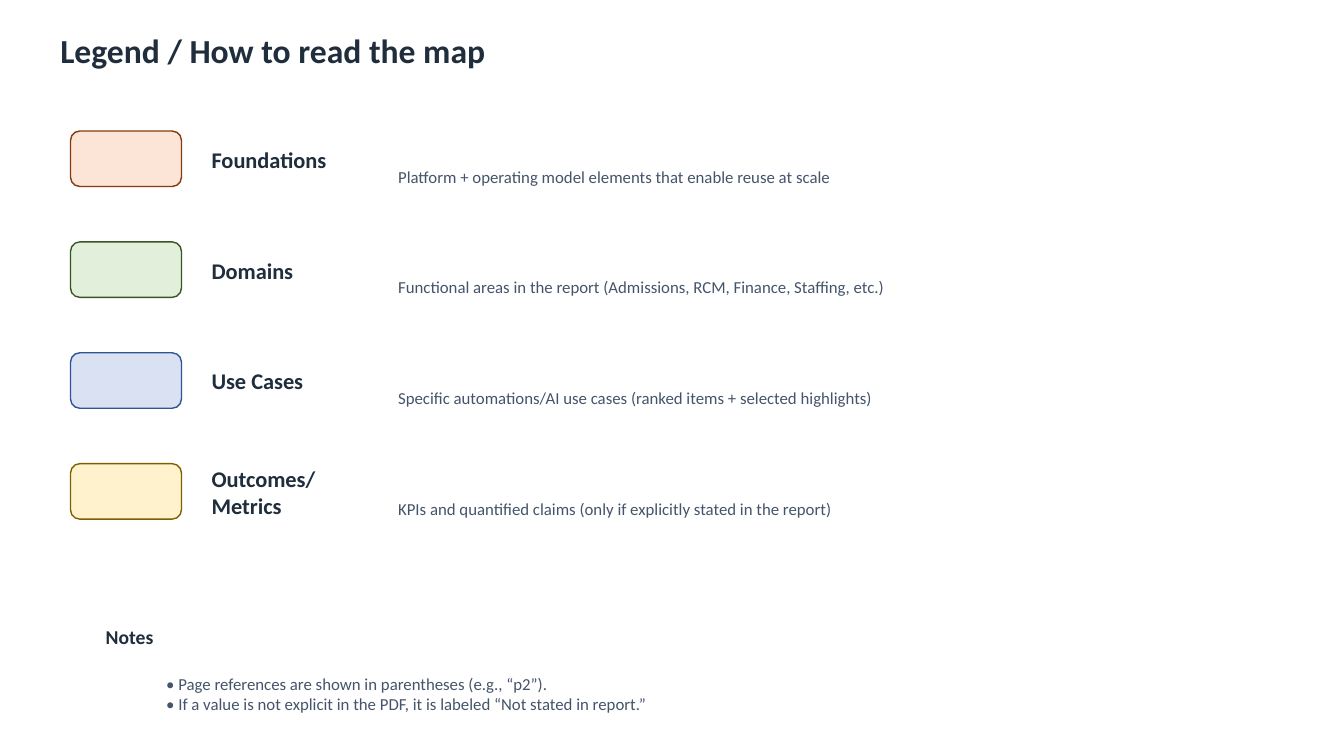
from dataclasses import dataclass

import pptx
import pptx.dml.color
import pptx.enum.shapes
import pptx.enum.text
import pptx.slide
import pptx.util

RGBColor = pptx.dml.color.RGBColor

EMU_PER_PX = 9144
INK = RGBColor(0x1F, 0x2D, 0x3D)
SLATE = RGBColor(0x44, 0x54, 0x6A)
PEACH = RGBColor(0xFC, 0xE4, 0xD6)
BROWN = RGBColor(0x84, 0x3C, 0x0C)
MINT = RGBColor(0xE2, 0xEF, 0xDA)
GREEN = RGBColor(0x37, 0x56, 0x23)
ICE = RGBColor(0xD9, 0xE1, 0xF2)
BLUE = RGBColor(0x2F, 0x55, 0x97)
CREAM = RGBColor(0xFF, 0xF2, 0xCC)
OLIVE = RGBColor(0x7F, 0x60, 0x00)

ROW_TOP = 130
ROW_STEP = 110


@dataclass(frozen=True)
class Box:
    left: int
    top: int
    width: int
    height: int

    def emu(self) -> list[pptx.util.Emu]:
        return [px(n) for n in (self.left, self.top, self.width, self.height)]


@dataclass(frozen=True)
class TextStyle:
    size: int
    color: RGBColor
    bold: bool


@dataclass(frozen=True)
class LegendRow:
    label: str
    description: str
    fill: RGBColor
    line: RGBColor


TITLE = TextStyle(24, INK, True)
LABEL = TextStyle(16, INK, True)
HEADING = TextStyle(14, INK, True)
BODY = TextStyle(12, SLATE, False)

ROWS = [
    LegendRow("Foundations",
              "Platform + operating model elements that enable reuse at scale",
              PEACH, BROWN),
    LegendRow("Domains",
              "Functional areas in the report (Admissions, RCM, Finance, Staffing, etc.)",
              MINT, GREEN),
    LegendRow("Use Cases",
              "Specific automations/AI use cases (ranked items + selected highlights)",
              ICE, BLUE),
    LegendRow("Outcomes/Metrics",
              "KPIs and quantified claims (only if explicitly stated in the report)",
              CREAM, OLIVE),
]
NOTES = [
    "• Page references are shown in parentheses (e.g., “p2”).",
    "• If a value is not explicit in the PDF, it is labeled “Not stated in report.”",
]


def px(n: int) -> pptx.util.Emu:
    return pptx.util.Emu(n * EMU_PER_PX)


def add_text(s: pptx.slide.Slide, box: Box, lines: list[str], style: TextStyle) -> None:
    tf = s.shapes.add_textbox(*box.emu()).text_frame
    tf.word_wrap = True
    tf.vertical_anchor = pptx.enum.text.MSO_ANCHOR.MIDDLE
    font_values = {"name": "Calibri", "size": pptx.util.Pt(style.size), "bold": style.bold}
    for i, line in enumerate(lines):
        p = tf.add_paragraph() if i else tf.paragraphs[0]
        r = p.add_run()
        r.text = line
        for name, value in font_values.items():
            setattr(r.font, name, value)
        r.font.color.rgb = style.color


def add_swatch(s: pptx.slide.Slide, box: Box, fill: RGBColor, line: RGBColor) -> None:
    sp = s.shapes.add_shape(
        pptx.enum.shapes.MSO_SHAPE.ROUNDED_RECTANGLE, *box.emu())
    sp.shadow.inherit = False
    sp.fill.solid()
    sp.fill.fore_color.rgb = fill
    sp.line.color.rgb = line
    sp.line.width = pptx.util.Pt(1)


def add_legend_row(s: pptx.slide.Slide, top: int, row: LegendRow) -> None:
    add_swatch(s, Box(70, top, 110, 55), row.fill, row.line)
    add_text(s, Box(200, top - 2, 170, 60), [row.label], LABEL)
    add_text(s, Box(385, top + 5, 905, 80), [row.description], BODY)


def main() -> None:
    prs = pptx.Presentation()
    prs.slide_width, prs.slide_height = px(1333), px(750)
    s = prs.slides.add_slide(prs.slide_layouts[6])

    add_text(s, Box(50, 25, 1233, 50), ["Legend / How to read the map"], TITLE)
    for i, row in enumerate(ROWS):
        add_legend_row(s, ROW_TOP + i * ROW_STEP, row)
    add_text(s, Box(95, 612, 200, 40), ["Notes"], HEADING)
    add_text(s, Box(155, 658, 1140, 60), NOTES, BODY)

    prs.save("out.pptx")


if __name__ == "__main__":
    main()
